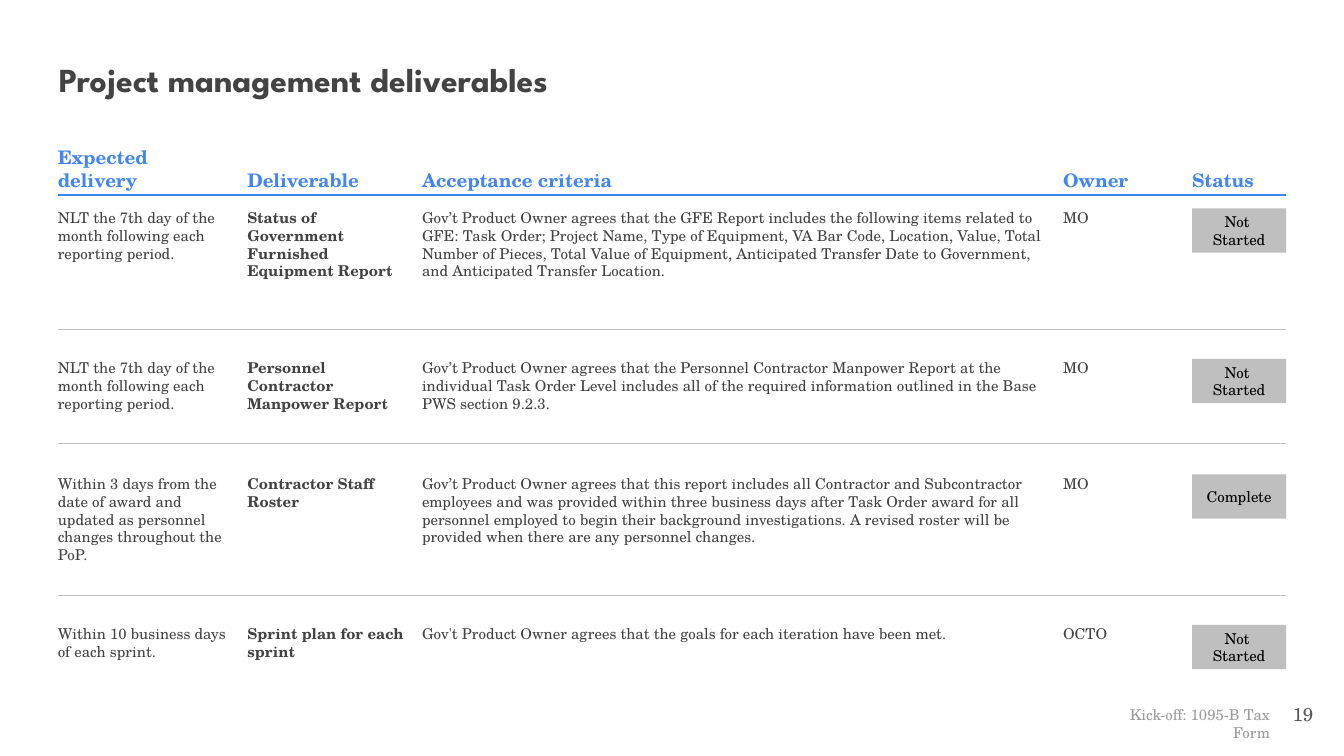
from dataclasses import dataclass
from typing import NamedTuple

from lxml import etree
from pptx import Presentation
from pptx.dml.color import RGBColor
from pptx.enum import shapes, text
from pptx.oxml.ns import qn
from pptx.util import Inches, Pt


class Style(NamedTuple):
    size: float
    color: str
    bold: bool = False
    font: str = "TeX Gyre Schola"


@dataclass(frozen=True)
class Theme:
    title: Style = Style(18, "434343", True, "League Spartan")
    heading: Style = Style(10, "4285F4", True)
    body: Style = Style(8, "434343")
    strong: Style = Style(8, "434343", True)
    status: Style = Style(8, "000000")
    footer: Style = Style(8, "9B9B9B")
    page_number: Style = Style(10, "595959")
    background: str = "FFFFFF"
    badge: str = "BFBFBF"
    header_rule: str = "3C81F3"
    row_rule: str = "BFBFBF"


class Box(NamedTuple):
    left: float
    top: float
    width: float
    height: float


class Column(NamedTuple):
    heading: str
    left: float
    width: float
    style: Style


class Cell(NamedTuple):
    wording: str
    lines: int


@dataclass(frozen=True)
class Deliverable:
    top: float
    cells: tuple[Cell, ...]
    status: str = "Not \nStarted"
    rule: float | None = None


THEME = Theme()
LEFT, RIGHT = 0.43, 9.57
HEADING_TOP, HEADING_HEIGHT, HEADER_RULE = 1.25, 0.17, 1.45
LINE_HEIGHT, BADGE_HEIGHT = 0.134, 0.33

COLUMNS = (
    Column("Expected delivery", LEFT, 1.29, THEME.body),
    Column("Deliverable", 1.84, 1.18, THEME.strong),
    Column("Acceptance criteria", 3.14, 4.65, THEME.body),
    Column("Owner", 7.91, 0.83, THEME.body),
    Column("Status", 8.87, 0.7, THEME.status),
)

MONTHLY = Cell("NLT the 7th day of the month following each reporting period.", 3)

DELIVERABLES = (
    Deliverable(1.55, (
        MONTHLY,
        Cell("Status of Government Furnished Equipment Report", 3),
        Cell("Gov’t Product Owner agrees that the GFE Report includes the following items "
             "related to GFE: Task Order; Project Name, Type of Equipment, VA Bar Code, "
             "Location, Value, Total Number of Pieces, Total Value of Equipment, Anticipated "
             "Transfer Date to Government, and Anticipated Transfer Location.", 4),
        Cell("MO", 1),
    ), rule=2.45),
    Deliverable(2.67, (
        MONTHLY,
        Cell("Personnel Contractor Manpower Report", 2),
        Cell("Gov’t Product Owner agrees that the Personnel Contractor Manpower Report at the "
             "individual Task Order Level includes all of the required information outlined "
             "in the Base PWS section 9.2.3.", 3),
        Cell("MO", 1),
    ), rule=3.3),
    Deliverable(3.53, (
        Cell("Within 3 days from the date of award and updated as personnel changes "
             "throughout the PoP.", 5),
        Cell("Contractor Staff Roster", 2),
        Cell("Gov’t Product Owner agrees that this report includes all Contractor and "
             "Subcontractor employees and was provided within three business days after Task "
             "Order award for all personnel employed to begin their background "
             "investigations. A revised roster will be provided when there are any personnel "
             "changes.", 4),
        Cell("MO", 1),
    ), status="Complete", rule=4.43),
    Deliverable(4.65, (
        Cell("Within 10 business days of each sprint.", 2),
        Cell("Sprint plan for each sprint", 2),
        Cell("Gov't Product Owner agrees that the goals for each iteration have been met.", 1),
        Cell("OCTO", 1),
    )),
)


def write(shape, wording: str, style: Style, align=text.PP_ALIGN.LEFT,
          anchor=text.MSO_ANCHOR.TOP, inset: float = 0, grow: bool = False) -> None:
    """Fill a shape with one paragraph; newlines become line breaks."""
    frame = shape.text_frame
    frame.word_wrap = True
    frame.auto_size = (text.MSO_AUTO_SIZE.SHAPE_TO_FIT_TEXT if grow
                       else text.MSO_AUTO_SIZE.NONE)
    frame.vertical_anchor = anchor
    frame.margin_left = frame.margin_right = Inches(inset)
    frame.margin_top = frame.margin_bottom = Inches(inset)
    paragraph = frame.paragraphs[0]
    paragraph.alignment = align
    for index, line in enumerate(wording.split("\n")):
        if index:
            paragraph.add_line_break()
        run = paragraph.add_run()
        run.text = line
        run.font.name = style.font
        run.font.size = Pt(style.size)
        run.font.bold = style.bold
        run.font.color.rgb = RGBColor.from_string(style.color)


def add_text(slide, box: Box, wording: str, style: Style, **layout) -> None:
    write(slide.shapes.add_textbox(*map(Inches, box)), wording, style, **layout)


def add_panel(slide, box: Box, fill: str, wording: str, style: Style, **layout) -> None:
    panel = slide.shapes.add_shape(shapes.MSO_SHAPE.RECTANGLE, *map(Inches, box))
    panel.shadow.inherit = False
    panel.fill.solid()
    panel.fill.fore_color.rgb = RGBColor.from_string(fill)
    panel.line.fill.background()
    write(panel, wording, style, **layout)


def add_rule(slide, y: float, color: str, weight: float) -> None:
    rule = slide.shapes.add_connector(
        shapes.MSO_CONNECTOR.STRAIGHT, Inches(LEFT), Inches(y), Inches(RIGHT), Inches(y))
    rule.line.color.rgb = RGBColor.from_string(color)
    rule.line.width = Pt(weight)
    etree.SubElement(rule._element.spPr, qn("a:effectLst"))


def add_deliverable(slide, row: Deliverable) -> None:
    *details, status = COLUMNS
    for column, cell in zip(details, row.cells):
        box = Box(column.left, row.top, column.width, cell.lines * LINE_HEIGHT)
        add_panel(slide, box, THEME.background, cell.wording, column.style, grow=True)
    add_panel(slide, Box(status.left, row.top, status.width, BADGE_HEIGHT), THEME.badge,
              row.status, status.style, align=text.PP_ALIGN.CENTER,
              anchor=text.MSO_ANCHOR.MIDDLE)
    if row.rule is not None:
        add_rule(slide, row.rule, THEME.row_rule, 0.25)


def main() -> None:
    deck = Presentation()
    deck.slide_width = Inches(10)
    deck.slide_height = deck.slide_width * 9 // 16
    slide = deck.slides.add_slide(deck.slide_layouts[6])
    slide.background.fill.solid()
    slide.background.fill.fore_color.rgb = RGBColor.from_string(THEME.background)

    add_text(slide, Box(0.34, 0.34, 9.32, 0.63), "Project management deliverables",
             THEME.title, inset=0.1)
    for column in COLUMNS:
        add_text(slide, Box(column.left, HEADING_TOP, column.width, HEADING_HEIGHT),
                 column.heading, THEME.heading, anchor=text.MSO_ANCHOR.BOTTOM, grow=True)
    add_rule(slide, HEADER_RULE, THEME.header_rule, 0.75)
    for row in DELIVERABLES:
        add_deliverable(slide, row)

    add_text(slide, Box(8.02, 5.15, 1.53, 0.39), "Kick-off: 1095-B Tax Form", THEME.footer,
             align=text.PP_ALIGN.RIGHT, inset=0.1)
    add_text(slide, Box(9.27, 5.13, 0.6, 0.37), "19", THEME.page_number,
             align=text.PP_ALIGN.RIGHT, anchor=text.MSO_ANCHOR.MIDDLE, inset=0.1, grow=True)
    deck.save("out.pptx")


if __name__ == "__main__":
    main()
